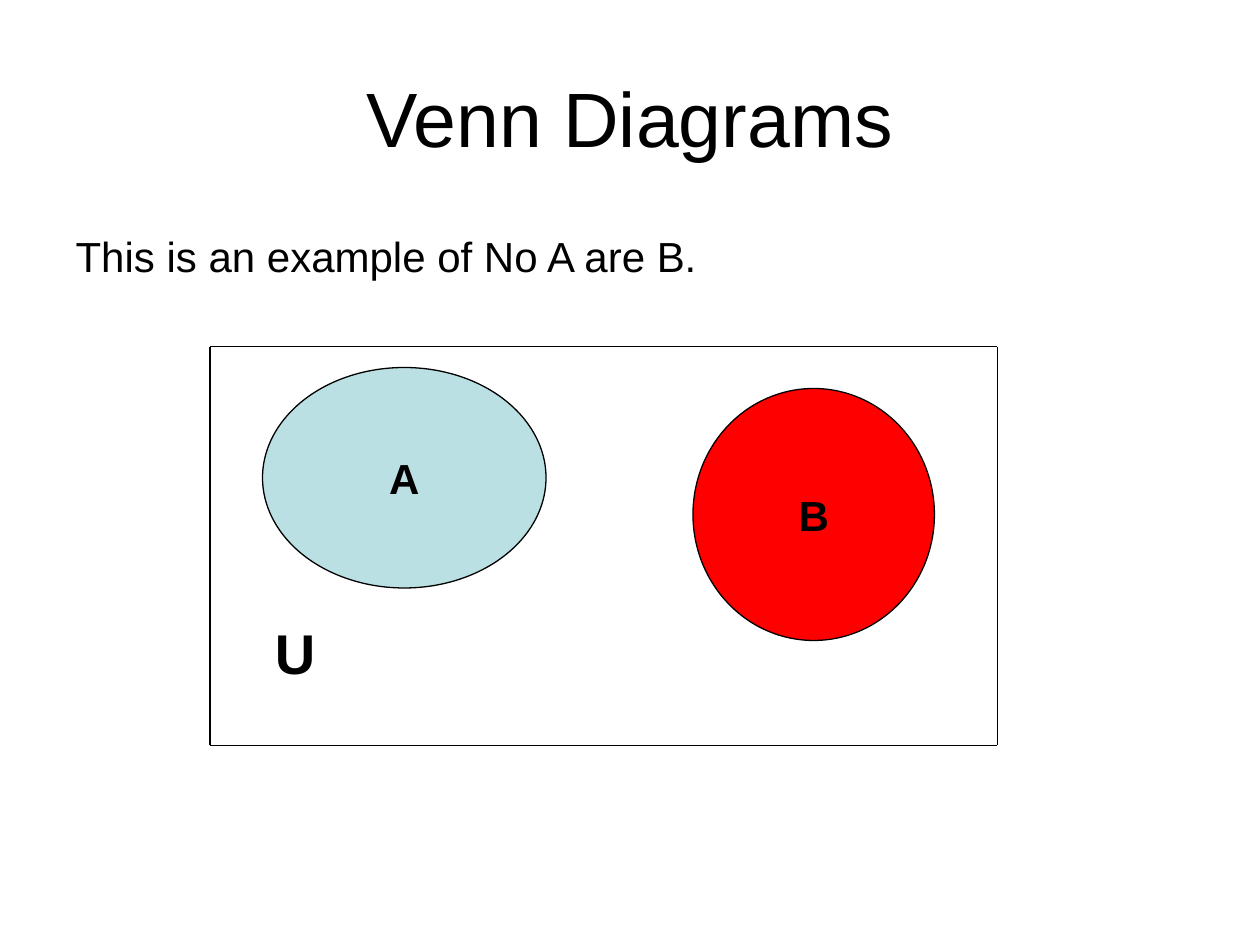
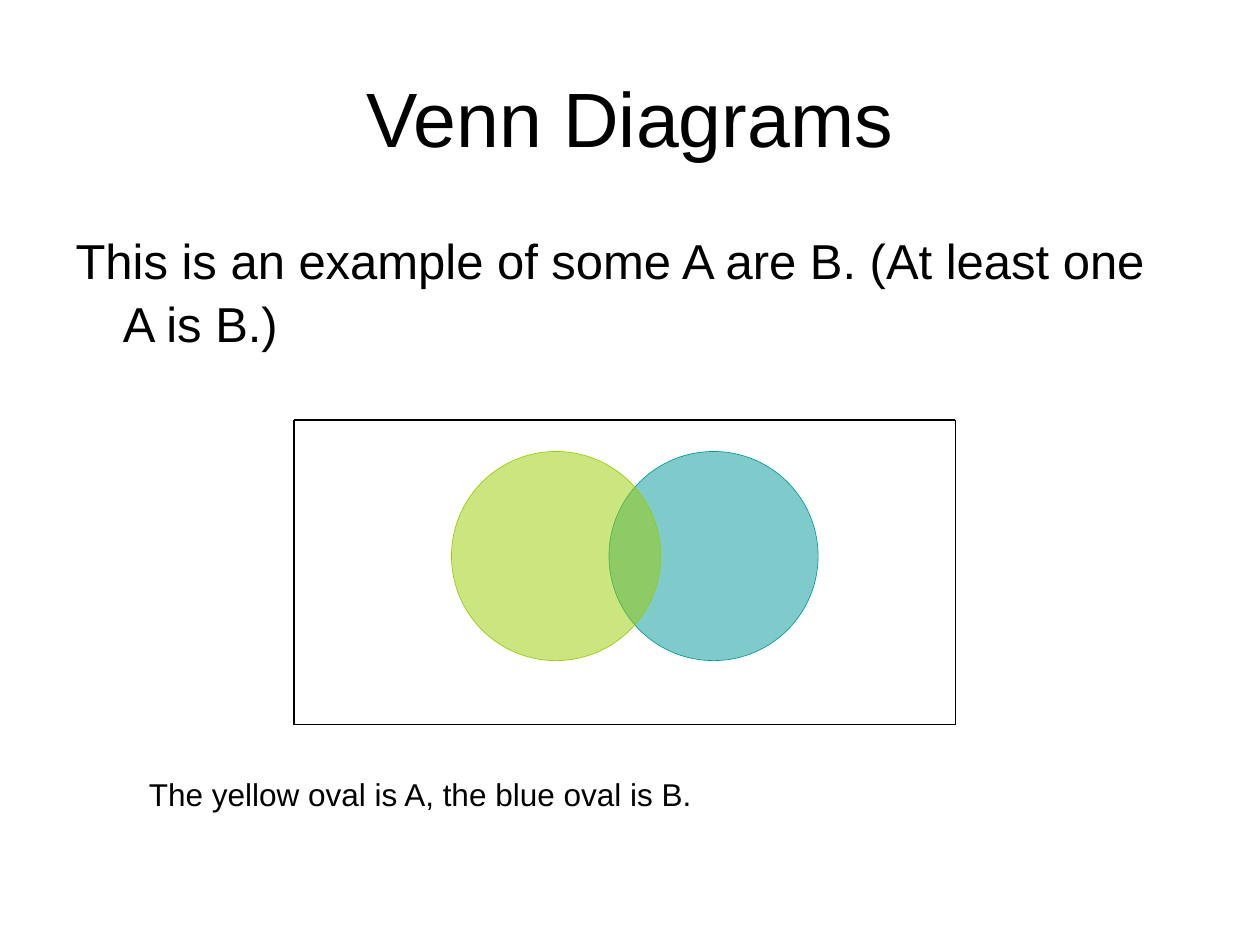
from lxml import etree
from pptx import Presentation
from pptx.dml.color import RGBColor
from pptx.enum import shapes, text
from pptx.oxml.ns import qn
from pptx.util import Pt

FONT = "Arial"
BLACK = "000000"
LINE_SPACING = 1.07
TITLE_BOX = (36, 21.6, 648, 90)
HANGING_INDENT = 27


def rgb(color):
    return RGBColor.from_string(color)


def place(sp, left, top, width, height):
    sp.left, sp.top, sp.width, sp.height = map(Pt, (left, top, width, height))


def write(sp, words, size, bold=False, align=text.PP_ALIGN.LEFT,
          anchor=text.MSO_ANCHOR.TOP, wrap=True):
    """Set the single paragraph of a shape and return that paragraph."""
    tf = sp.text_frame
    tf.text = words
    tf.auto_size = text.MSO_AUTO_SIZE.NONE
    tf.word_wrap = wrap
    tf.vertical_anchor = anchor
    p = tf.paragraphs[0]
    p.alignment = align
    p.space_before = Pt(0)
    font = p.runs[0].font
    font.name, font.size, font.bold = FONT, Pt(size), bold
    font.color.rgb = rgb(BLACK)
    return p


def add_venn_slide(prs, statement, size, body_box):
    s = prs.slides.add_slide(prs.slide_layouts[1])
    place(s.shapes.title, *TITLE_BOX)
    write(s.shapes.title, "Venn Diagrams", 44, align=text.PP_ALIGN.CENTER,
          anchor=text.MSO_ANCHOR.MIDDLE)
    body = s.placeholders[1]
    place(body, *body_box)
    p = write(body, statement, size)
    p.line_spacing = LINE_SPACING
    pPr = p._p.get_or_add_pPr()
    pPr.set("marL", str(Pt(HANGING_INDENT)))
    pPr.set("indent", str(Pt(-HANGING_INDENT)))
    etree.SubElement(pPr, qn("a:buNone"))
    return s


def add_label(s, words, size, box, bold=False):
    sp = s.shapes.add_textbox(*map(Pt, box))
    write(sp, words, size, bold).line_spacing = LINE_SPACING


def add_universe(s, left, top, right, bottom):
    """Draw the frame of the universal set from four lines."""
    corners = [(left, top), (right, top), (right, bottom), (left, bottom)]
    for start, end in zip(corners, corners[1:] + corners[:1]):
        line = s.shapes.add_connector(shapes.MSO_CONNECTOR.STRAIGHT,
                                      *map(Pt, start + end))
        line.line.color.rgb = rgb(BLACK)
        line.line.width = Pt(0.75)
        etree.SubElement(line._element.spPr, qn("a:effectLst"))


def add_set(s, box, fill, outline=BLACK, width=0.75, name=None, opacity=100):
    sp = s.shapes.add_shape(shapes.MSO_SHAPE.OVAL, *map(Pt, box))
    sp.shadow.inherit = False
    sp.fill.solid()
    sp.fill.fore_color.rgb = rgb(fill)
    sp.line.color.rgb = rgb(outline)
    sp.line.width = Pt(width)
    if opacity < 100:
        color = sp._element.spPr.find(qn("a:solidFill")).find(qn("a:srgbClr"))
        etree.SubElement(color, qn("a:alpha"), val=str(opacity * 1000))
    if name:
        write(sp, name, 24, bold=True, align=text.PP_ALIGN.CENTER,
              anchor=text.MSO_ANCHOR.MIDDLE, wrap=False)


def main():
    prs = Presentation()
    prs.slide_width, prs.slide_height = Pt(720), Pt(540)

    s = add_venn_slide(prs, "This is an example of No A are B.", 24,
                       (36, 126, 648, 356.4))
    add_set(s, (150, 210, 162, 126), "BBE0E3", name="A")
    add_set(s, (396, 222, 138, 144), "FF0000", name="B")
    add_label(s, "U", 32, (150, 347, 50, 46), bold=True)
    add_universe(s, 120, 198, 570, 426)

    s = add_venn_slide(
        prs, "This is an example of some A are B. (At least one A is B.)", 28,
        (36, 126, 642, 120))
    for left, color in ((348, "009999"), (258, "99CC00")):
        add_set(s, (left, 258, 119.5, 119.5), color, color, 0.37, opacity=50)
    add_label(s, "The yellow oval is A, the blue oval is B.", 18,
              (78, 438, 570, 28.8))
    add_universe(s, 168, 240, 546, 414)

    prs.save("out.pptx")


if __name__ == "__main__":
    main()
